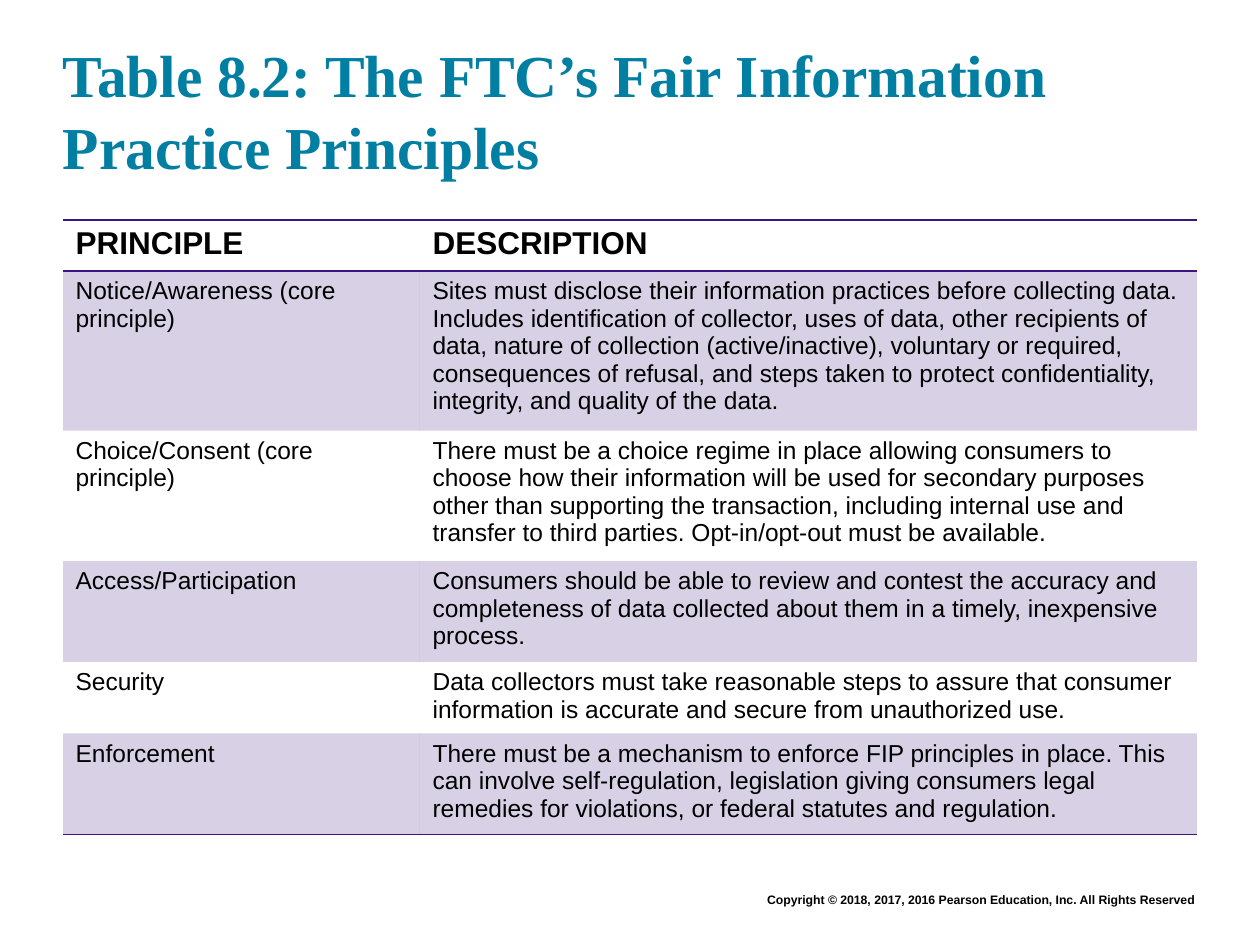
from dataclasses import dataclass

from lxml.etree import SubElement
from pptx import Presentation
from pptx.dml.color import RGBColor
from pptx.enum.text import MSO_ANCHOR, PP_ALIGN
from pptx.oxml import parse_xml
from pptx.oxml.ns import nsdecls, qn
from pptx.util import Emu, Pt

EMU_PER_PX = 914400 / 126


def px(n):
    return Emu(round(n * EMU_PER_PX))


@dataclass(frozen=True)
class Theme:
    title: str = "007FA3"
    text: str = "000000"
    accent: str = "3C1581"
    band_alpha: int = 20
    title_font: str = "Times New Roman"
    body_font: str = "Arial"
    title_size: int = 34
    header_size: int = 18
    body_size: int = 14
    footer_size: int = 7
    no_style: str = "{2D5ABB26-0587-4C30-8999-92F81FD0307C}"


class SlideBuilder:
    def __init__(self, prs, theme):
        self.theme = theme
        self.s = prs.slides.add_slide(prs.slide_layouts[6])

    def format(self, tf, size, font, color, bold):
        for p in tf.paragraphs:
            for r in p.runs:
                r.font.size = Pt(size)
                r.font.name = font
                r.font.bold = bold
                r.font.color.rgb = RGBColor.from_string(color)

    def text_box(self, text, box, size, font, color, align, anchor, inset=None):
        tf = self.s.shapes.add_textbox(*map(px, box)).text_frame
        tf.word_wrap = True
        tf.vertical_anchor = anchor
        if inset is not None:
            tf.margin_left = tf.margin_right = px(inset)
            tf.margin_top = tf.margin_bottom = px(inset)
        tf.text = text
        tf.paragraphs[0].alignment = align
        self.format(tf, size, font, color, True)

    def border(self, cell, sides):
        for i, side in enumerate(sides):
            cell._tc.get_or_add_tcPr().insert(i, parse_xml(
                f'<a:ln{side} {nsdecls("a")} w="{Pt(1)}"><a:solidFill>'
                f'<a:srgbClr val="{self.theme.accent}"/></a:solidFill></a:ln{side}>'))

    def band(self, cell):
        cell.fill.solid()
        cell.fill.fore_color.rgb = RGBColor.from_string(self.theme.accent)
        clr = cell._tc.tcPr.find(f'{qn("a:solidFill")}/{qn("a:srgbClr")}')
        SubElement(clr, qn("a:alpha")).set("val", str(self.theme.band_alpha * 1000))

    def table(self, rows, left, top, widths, heights):
        t = self.theme
        box = map(px, (left, top, sum(widths), sum(heights)))
        table = self.s.shapes.add_table(len(rows), len(widths), *box).table
        table._tbl.tblPr.find(qn("a:tableStyleId")).text = t.no_style
        table.horz_banding = False
        for column, width in zip(table.columns, widths):
            column.width = px(width)
        for i, (row, height) in enumerate(zip(rows, heights)):
            table.rows[i].height = px(height)
            header, last = i == 0, i == len(rows) - 1
            for cell, text in zip(table.rows[i].cells, row):
                cell.text_frame.text = text
                size = t.header_size if header else t.body_size
                self.format(cell.text_frame, size, t.body_font, t.text, header)
                if i % 2:
                    self.band(cell)
                else:
                    cell.fill.background()
                self.border(cell, "TB" if header else "B" if last else "")


ROWS = [
    ("PRINCIPLE", "DESCRIPTION"),
    ("Notice/Awareness (core principle)",
     "Sites must disclose their information practices before collecting data. "
     "Includes identification of collector, uses of data, other recipients of data, "
     "nature of collection (active/inactive), voluntary or required, consequences of "
     "refusal, and steps taken to protect confidentiality, integrity, and quality of "
     "the data."),
    ("Choice/Consent (core principle)",
     "There must be a choice regime in place allowing consumers to choose how their "
     "information will be used for secondary purposes other than supporting the "
     "transaction, including internal use and transfer to third parties. "
     "Opt-in/opt-out must be available."),
    ("Access/Participation",
     "Consumers should be able to review and contest the accuracy and completeness "
     "of data collected about them in a timely, inexpensive process."),
    ("Security",
     "Data collectors must take reasonable steps to assure that consumer information "
     "is accurate and secure from unauthorized use."),
    ("Enforcement",
     "There must be a mechanism to enforce FIP principles in place. This can involve "
     "self-regulation, legislation giving consumers legal remedies for violations, or "
     "federal statutes and regulation."),
]


def main():
    prs = Presentation()
    prs.slide_width, prs.slide_height = px(1260), px(945)
    theme = Theme()
    slide = SlideBuilder(prs, theme)
    slide.text_box("Copyright © 2018, 2017, 2016 Pearson Education, Inc. All Rights Reserved",
                   (221, 886, 986, 28), theme.footer_size, theme.body_font, theme.text,
                   PP_ALIGN.RIGHT, MSO_ANCHOR.TOP)
    slide.text_box("Table 8.2: The FTC’s Fair Information Practice Principles",
                   (63, 30, 1134, 151), theme.title_size, theme.title_font, theme.title,
                   PP_ALIGN.LEFT, MSO_ANCHOR.BOTTOM, inset=0)
    slide.table(ROWS, 63, 220, (357, 777), (51, 150, 123, 95, 68, 95))
    prs.save("out.pptx")


if __name__ == "__main__":
    main()
